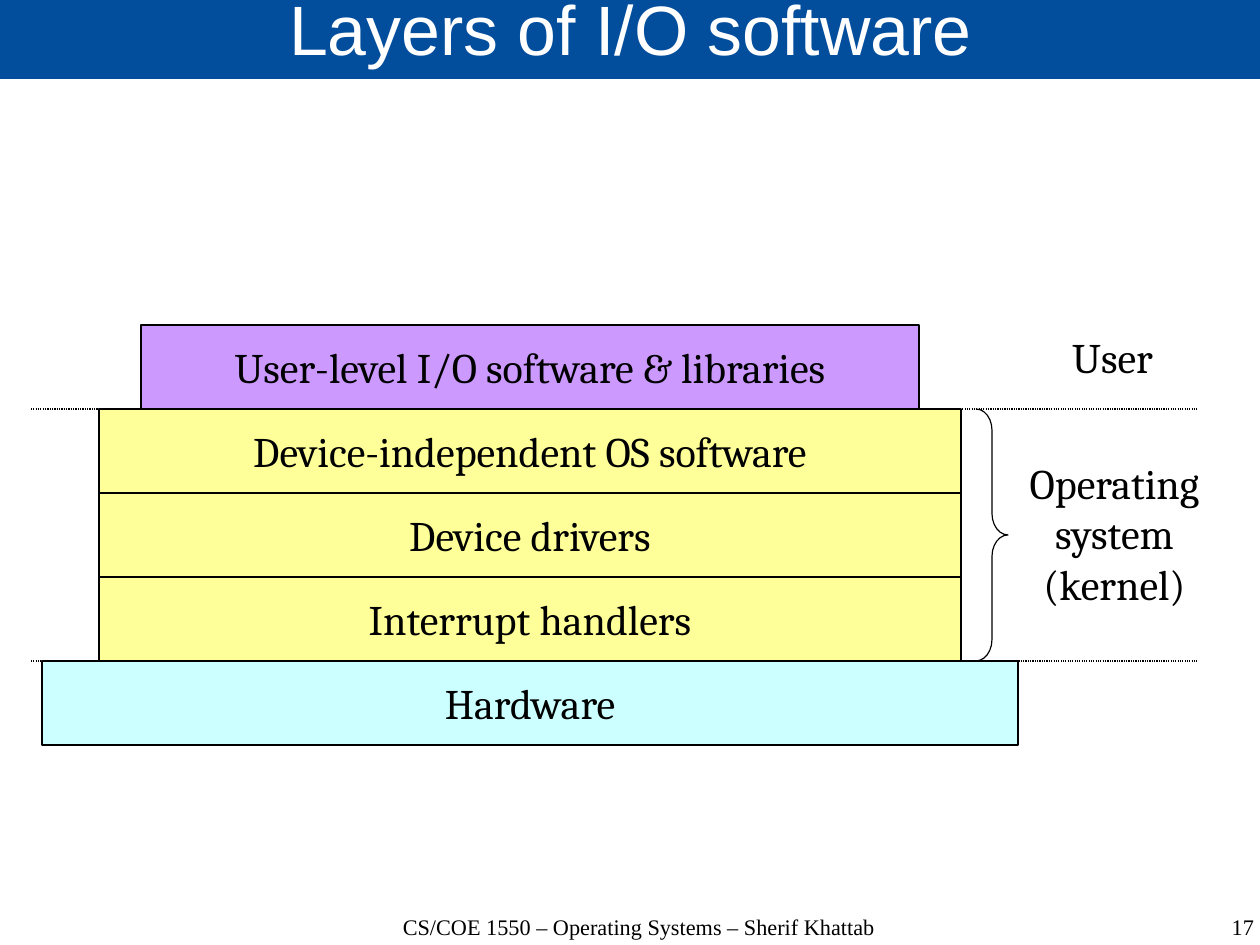
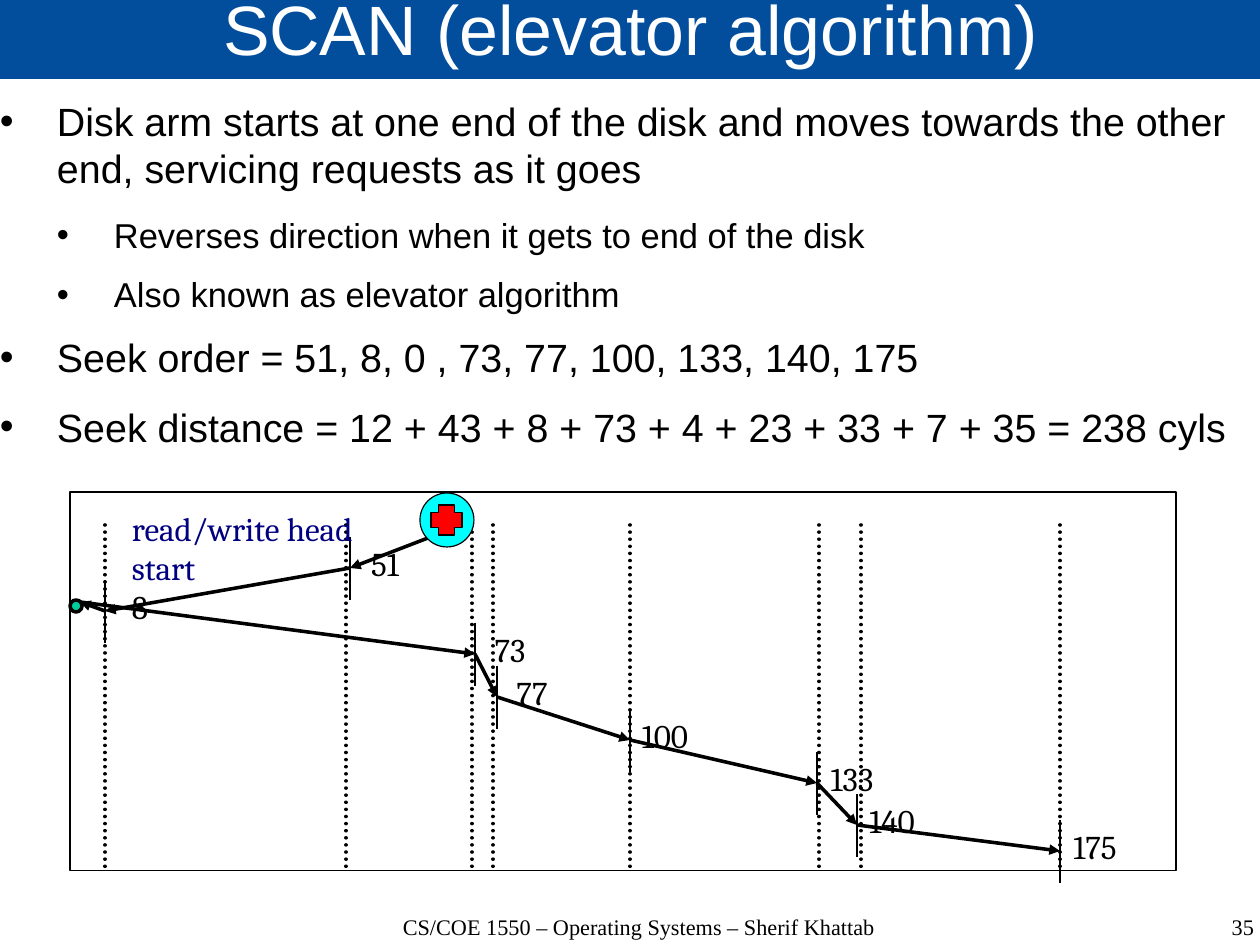
from dataclasses import dataclass
from itertools import pairwise
from typing import Any, NamedTuple

import lxml.etree
import pptx
import pptx.dml.color
import pptx.enum.dml
import pptx.enum.shapes
import pptx.enum.text
import pptx.oxml.ns
import pptx.util

PX = 8000
ALIGN = pptx.enum.text.PP_ALIGN
ANCHOR = pptx.enum.text.MSO_ANCHOR
PRESET = pptx.enum.shapes.MSO_SHAPE
DOTTED = pptx.enum.dml.MSO_LINE.ROUND_DOT
TITLE_ONLY = 5


@dataclass(frozen=True)
class Type:
    face: str
    size: float
    color: str = "000000"


@dataclass(frozen=True)
class Theme:
    band: str = "024E9D"
    ink: str = "000000"
    user: str = "CC99FF"
    kernel: str = "FFFF99"
    hardware: str = "CCFFFF"
    origin: str = "00CC99"
    head: str = "00FFFF"
    cross: str = "FF0000"
    thin: float = 0.75
    thick: float = 2.25
    title: Type = Type("Arial", 44, "FFFFFF")
    body: Type = Type("Arial", 24.8)
    sub_body: Type = Type("Arial", 21.7)
    footer: Type = Type("Times New Roman", 14)
    diagram: Type = Type("Cambria", 26.5)
    stop: Type = Type("Cambria", 20.9)
    head_note: Type = Type("Cambria", 20.9, "000080")


THEME = Theme()


class Box(NamedTuple):
    left: int
    top: int
    width: int
    height: int


class Point(NamedTuple):
    x: int
    y: int


class Layer(NamedTuple):
    label: str
    width: int
    fill: str


class Stop(NamedTuple):
    cylinder: int
    x: int
    guide_x: int
    top: int


class Bullet(NamedTuple):
    text: str
    level: int = 0


TITLE_BOX = Box(0, -3, 1262, 82)
FOOTER_BOX = Box(351, 915, 576, 63)
NUMBER_BOX = Box(965, 915, 289, 63)
FOOTER = "CS/COE 1550 – Operating Systems – Sherif Khattab"

LAYERS = [
    Layer("User-level I/O software & libraries", 778, THEME.user),
    Layer("Device-independent OS software", 862, THEME.kernel),
    Layer("Device drivers", 862, THEME.kernel),
    Layer("Interrupt handlers", 862, THEME.kernel),
    Layer("Hardware", 976, THEME.hardware),
]

BULLETS = [
    Bullet("Disk arm starts at one end of the disk and moves towards the other end, "
           "servicing requests as it goes"),
    Bullet("Reverses direction when it gets to end of the disk", 1),
    Bullet("Also known as elevator algorithm", 1),
    Bullet("Seek order = 51, 8, 0 , 73, 77, 100, 133, 140, 175"),
    Bullet("Seek distance = 12 + 43 + 8 + 73 + 4 + 23 + 33 + 7 + 35 = 238 cyls"),
]

STOPS = [
    Stop(51, 350, 346, 537),
    Stop(8, 105, 105, 580),
    Stop(73, 475, 472, 623),
    Stop(77, 497, 493, 666),
    Stop(100, 630, 630, 709),
    Stop(133, 817, 819, 752),
    Stop(140, 857, 861, 794),
    Stop(175, 1060, 1060, 820),
]
HEAD_START = Point(428, 538)
DISK_END = Point(80, 602)
TICK_HEIGHT = 63


def emu(values: tuple[int, ...]) -> list[int]:
    return [value * PX for value in values]


def rgb(color: str) -> pptx.dml.color.RGBColor:
    return pptx.dml.color.RGBColor.from_string(color)


def apply(target: Any, values: dict[str, Any]) -> None:
    for name, value in values.items():
        setattr(target, name, value)


def add_xml(parent: Any, tag: str, **attributes: str) -> Any:
    return lxml.etree.SubElement(parent, pptx.oxml.ns.qn(tag), attributes)


def set_paragraph(paragraph: Any, text: str, style: Type, **formats: Any) -> None:
    paragraph.text = text
    apply(paragraph, formats)
    for run in paragraph.runs:
        apply(run.font, {"name": style.face, "size": pptx.util.Pt(style.size)})
        run.font.color.rgb = rgb(style.color)


def set_frame(frame: Any, inset: tuple[int, int], wrap: bool, anchor: Any) -> None:
    across, down = emu(inset)
    apply(frame, {
        "auto_size": pptx.enum.text.MSO_AUTO_SIZE.NONE,
        "word_wrap": wrap,
        "vertical_anchor": anchor,
        "margin_left": across,
        "margin_right": across,
        "margin_top": down,
        "margin_bottom": down,
    })


def add_text(slide: Any, box: Box, text: str, style: Type, inset: tuple[int, int] = (11, 6),
             wrap: bool = False, **formats: Any) -> None:
    frame = slide.shapes.add_textbox(*emu(box)).text_frame
    set_frame(frame, inset, wrap, ANCHOR.TOP)
    set_paragraph(frame.paragraphs[0], text, style, **formats)


def add_outline(slide: Any, preset: Any, box: Box, fill: str | None = None,
                weight: float = THEME.thin, adjustments: tuple[float, ...] = ()) -> Any:
    shape = slide.shapes.add_shape(preset, *emu(box))
    shape.shadow.inherit = False
    if fill:
        shape.fill.solid()
        shape.fill.fore_color.rgb = rgb(fill)
    else:
        shape.fill.background()
    shape.line.color.rgb = rgb(THEME.ink)
    shape.line.width = pptx.util.Pt(weight)
    for index, value in enumerate(adjustments):
        shape.adjustments[index] = value
    return shape


def add_line(slide: Any, start: Point, end: Point, weight: float = THEME.thin,
             dash: Any = None, arrow: bool = False, cap: str = "flat") -> None:
    connector = slide.shapes.add_connector(
        pptx.enum.shapes.MSO_CONNECTOR.STRAIGHT, *emu(start + end))
    connector.line.color.rgb = rgb(THEME.ink)
    apply(connector.line, {"width": pptx.util.Pt(weight), "dash_style": dash})
    properties = connector.element.spPr
    stroke = properties.find(pptx.oxml.ns.qn("a:ln"))
    stroke.set("cap", cap)
    if arrow:
        add_xml(stroke, "a:tailEnd", type="triangle")
    add_xml(properties, "a:effectLst")


def add_slide(deck: Any, heading: str, number: int) -> Any:
    slide = deck.slides.add_slide(deck.slide_layouts[TITLE_ONLY])
    title = slide.shapes.title
    apply(title, dict(zip(("left", "top", "width", "height"), emu(TITLE_BOX))))
    title.fill.solid()
    title.fill.fore_color.rgb = rgb(THEME.band)
    set_frame(title.text_frame, (0, 0), True, ANCHOR.MIDDLE)
    set_paragraph(title.text_frame.paragraphs[0], heading, THEME.title,
                  alignment=ALIGN.CENTER, line_spacing=0.69)
    for box, text, alignment in ((FOOTER_BOX, FOOTER, ALIGN.CENTER),
                                 (NUMBER_BOX, str(number), ALIGN.RIGHT)):
        add_text(slide, box, text, THEME.footer, inset=(0, 0), wrap=True,
                 alignment=alignment, line_spacing=0.96)
    return slide


def add_bullets(slide: Any, box: Box, bullets: list[Bullet]) -> None:
    frame = slide.shapes.add_textbox(*emu(box)).text_frame
    set_frame(frame, (0, 0), True, ANCHOR.TOP)
    indent = 57 * PX
    for index, bullet in enumerate(bullets):
        paragraph = frame.add_paragraph() if index else frame.paragraphs[0]
        properties = paragraph._p.get_or_add_pPr()
        properties.set("marL", str(indent * (bullet.level + 1)))
        properties.set("indent", str(-indent))
        add_xml(add_xml(properties, "a:buClr"), "a:srgbClr", val=THEME.ink)
        add_xml(properties, "a:buFont", typeface=THEME.body.face)
        add_xml(properties, "a:buChar", char="•")
        set_paragraph(paragraph, bullet.text, THEME.sub_body if bullet.level else THEME.body,
                      level=bullet.level,
                      space_after=pptx.util.Pt(11.4 if bullet.level else 14.2))


def build_layers(deck: Any) -> None:
    slide = add_slide(deck, "Layers of I/O software", 17)
    center, first_top, height = 530, 325, 84
    tops = [first_top + index * height for index in range(len(LAYERS))]
    for layer, top in zip(LAYERS, tops):
        box = Box(center - layer.width // 2, top, layer.width, height)
        shape = add_outline(slide, PRESET.RECTANGLE, box, layer.fill)
        set_frame(shape.text_frame, (11, 6), False, ANCHOR.MIDDLE)
        set_paragraph(shape.text_frame.paragraphs[0], layer.label, THEME.diagram,
                      alignment=ALIGN.CENTER)
    kernel_top, kernel_bottom = tops[1], tops[-1]
    add_outline(slide, PRESET.RIGHT_BRACE,
                Box(976, kernel_top, 32, kernel_bottom - kernel_top),
                adjustments=(0.67, 0.5))
    for box, text in ((Box(1018, 451, 193, 165), "Operating\vsystem\v(kernel)"),
                      (Box(1061, 325, 103, 63), "User")):
        add_text(slide, box, text, THEME.diagram, alignment=ALIGN.CENTER)
    for boundary in (kernel_top, kernel_bottom):
        add_line(slide, Point(31, boundary), Point(1197, boundary), dash=DOTTED)


def build_scan(deck: Any) -> None:
    slide = add_slide(deck, "SCAN (elevator algorithm)", 35)
    add_bullets(slide, Box(0, 97, 1262, 340), BULLETS)
    for stop in STOPS:
        add_line(slide, Point(stop.guide_x, 525), Point(stop.guide_x, 871),
                 THEME.thick, DOTTED, cap="rnd")
    add_outline(slide, PRESET.RECTANGLE, Box(70, 492, 1106, 379))
    for stop in STOPS:
        add_line(slide, Point(stop.x, stop.top), Point(stop.x, stop.top + TICK_HEIGHT))
        add_text(slide, Box(stop.x + 1, stop.top, 68, 53), str(stop.cylinder), THEME.stop,
                 inset=(0, 6), alignment=ALIGN.CENTER)
    add_text(slide, Box(121, 502, 298, 53), "read/write head start", THEME.head_note, wrap=True)
    add_outline(slide, PRESET.OVAL, Box(70, 600, 12, 12), THEME.origin, THEME.thick)
    visits = [Point(stop.x, stop.top + TICK_HEIGHT // 2) for stop in STOPS]
    route = [HEAD_START, *visits[:2], DISK_END, *visits[2:]]
    for start, end in pairwise(route):
        add_line(slide, start, end, THEME.thick, arrow=True)
    add_outline(slide, PRESET.OVAL, Box(420, 493, 54, 54), THEME.head)
    add_outline(slide, PRESET.CROSS, Box(431, 505, 31, 30), THEME.cross, adjustments=(0.25,))


def main() -> None:
    deck = pptx.Presentation()
    apply(deck, {"slide_width": 1260 * PX, "slide_height": 945 * PX})
    build_layers(deck)
    build_scan(deck)
    deck.save("out.pptx")


if __name__ == "__main__":
    main()
